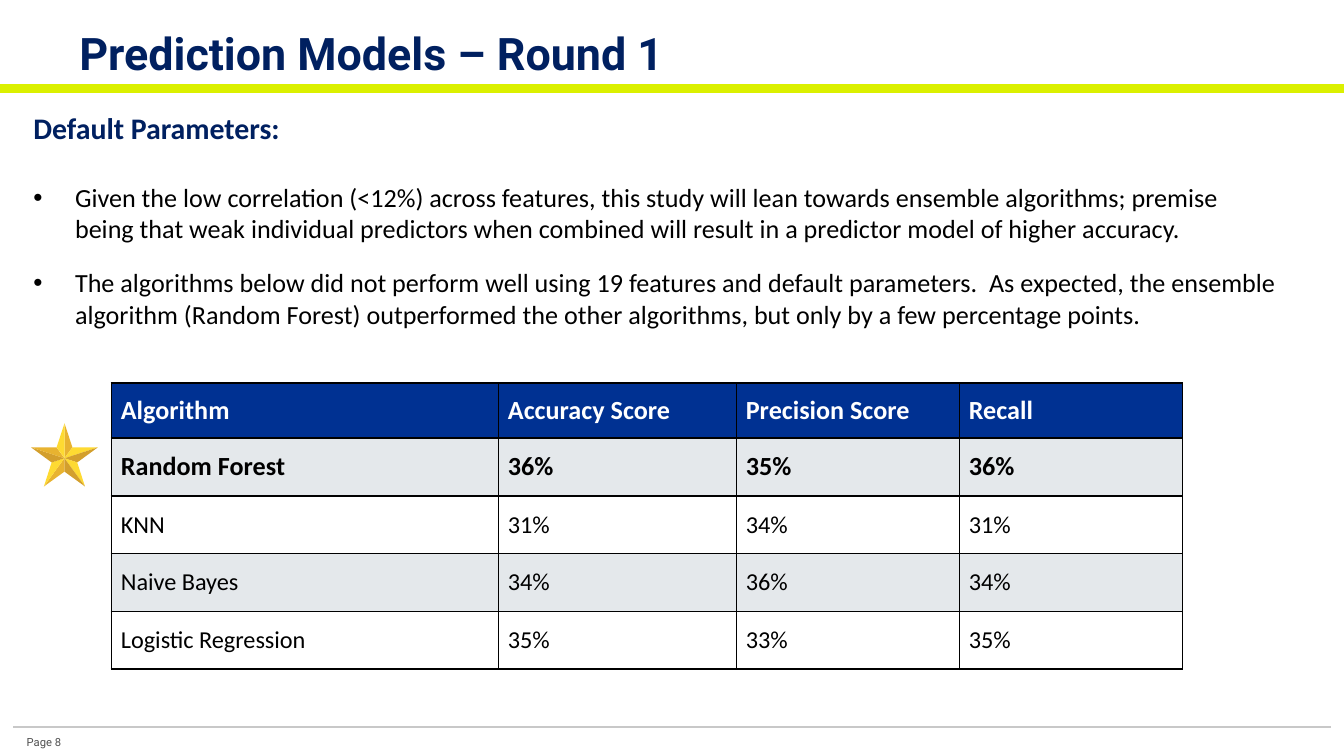
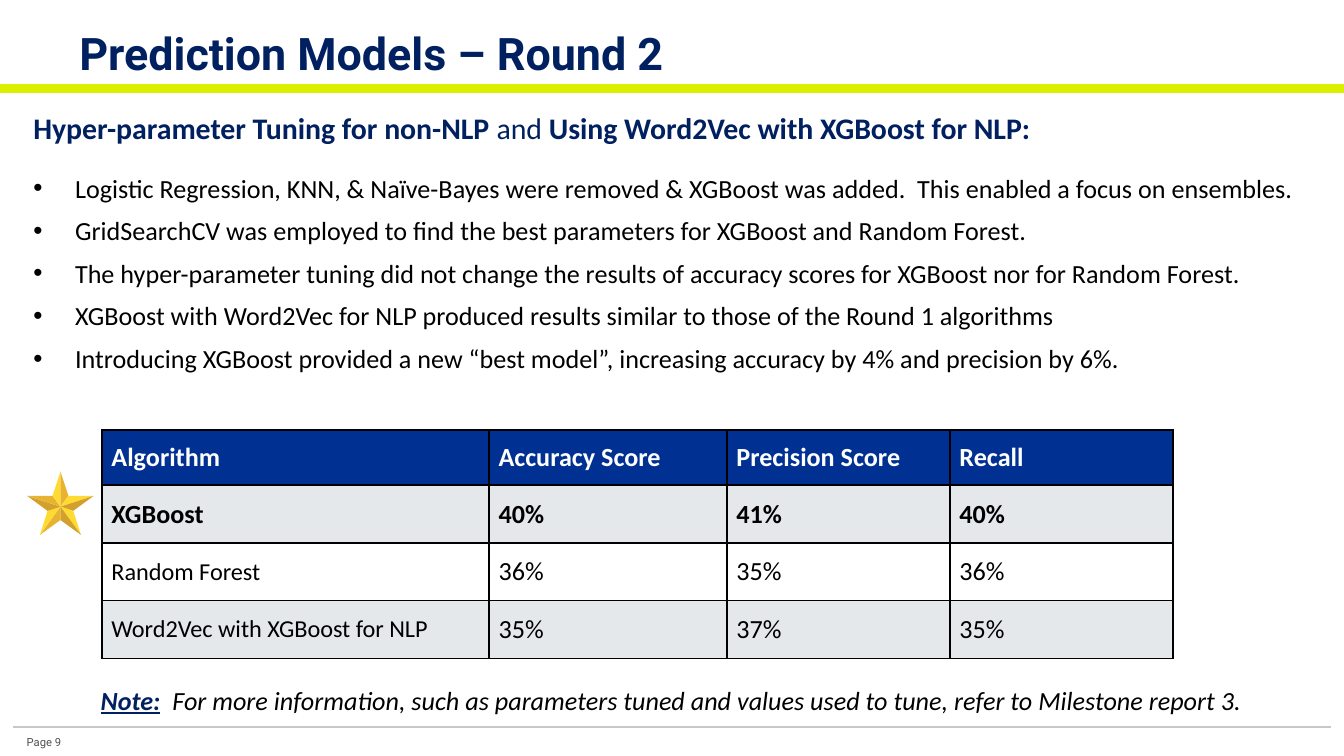
import math

from lxml import etree
from pptx import Presentation
from pptx.dml.color import RGBColor
from pptx.enum.shapes import MSO_CONNECTOR
from pptx.enum.text import MSO_ANCHOR, MSO_AUTO_SIZE, PP_ALIGN
from pptx.oxml import parse_xml
from pptx.oxml.ns import qn
from pptx.util import Pt

PX = 9144
STRAIGHT = MSO_CONNECTOR.STRAIGHT
TOP, MIDDLE = MSO_ANCHOR.TOP, MSO_ANCHOR.MIDDLE
LEFT = PP_ALIGN.LEFT
NO_AUTOFIT = MSO_AUTO_SIZE.NONE
DRAWING_NS = "http://schemas.openxmlformats.org/drawingml/2006/main"

NAVY, BLACK, WHITE, GREY = "002060", "000000", "FFFFFF", "505050"
RULE_GREY, LIME = "C8C8C8", "DBF000"
HEADER_BLUE, BAND_SLATE = "003192", "78909C"
GOLD, YELLOW, OCHRE = "E8B330", "FEDA32", "D39F2D"
WEDGE_COLORS = [GOLD, YELLOW, OCHRE, YELLOW, OCHRE,
                GOLD, YELLOW, OCHRE, GOLD, YELLOW]
RULES = [(10, 990, 541, RULE_GREY, 0.75),
         (0, 1000, 66, RULE_GREY, 0.75),
         (0, 1000, 66, LIME, 4.5)]
COLUMNS = [("Algorithm", 288), ("Accuracy Score", 177),
           ("Precision Score", 166), ("Recall", 166)]
HEADER_HEIGHT, ROW_HEIGHT = 41, 43

rounds = [
    {
        "title": "Prediction Models – Round 1",
        "title_width": 471,
        "page": "Page 8",
        "heading": [("Default Parameters:", True)],
        "heading_width": 208,
        "bullet_area": (15, 130, 949, 121),
        "space_before": 6,
        "bullets": [
            "Given the low correlation (<12%) across features, this study will lean towards ensemble algorithms; premise being that weak individual predictors when combined will result in a predictor model of higher accuracy.",
            "The algorithms below did not perform well using 19 features and default parameters.  As expected, the ensemble algorithm (Random Forest) outperformed the other algorithms, but only by a few percentage points.",
        ],
        "table_at": (83, 285),
        "score_size": 13,
        "scores": [("Random Forest", "36%", "35%", "36%"),
                   ("KNN", "31%", "34%", "31%"),
                   ("Naive Bayes", "34%", "36%", "34%"),
                   ("Logistic Regression", "35%", "33%", "35%")],
        "star_center": (48, 341),
        "note": [],
    },
    {
        "title": "Prediction Models – Round 2",
        "title_width": 656,
        "page": "Page 9",
        "heading": [("Hyper-parameter Tuning for non-NLP ", True), ("and", False),
                    (" Using Word2Vec with XGBoost for NLP:", True)],
        "heading_width": 774,
        "bullet_area": (15, 123, 968, 162),
        "space_before": 0,
        "bullets": [
            "Logistic Regression, KNN, & Naïve-Bayes were removed & XGBoost was added.  This enabled a focus on ensembles.",
            "GridSearchCV was employed to find the best parameters for XGBoost and Random Forest.",
            "The hyper-parameter tuning did not change the results of accuracy scores for XGBoost nor for Random Forest.",
            "XGBoost with Word2Vec for NLP produced results similar to those of the Round 1 algorithms",
            "Introducing XGBoost provided a new “best model”, increasing accuracy by 4% and precision by 6%.",
        ],
        "table_at": (76, 320),
        "score_size": 14,
        "scores": [("XGBoost", "40%", "41%", "40%"),
                   ("Random Forest", "36%", "35%", "36%"),
                   ("Word2Vec with XGBoost for NLP", "35%", "37%", "35%")],
        "star_center": (45, 377),
        "note": [("Note:", NAVY, True),
                 ("  For more information, such as parameters tuned and values used to tune, refer to Milestone report 3.", BLACK, False)],
    },
]


def rgb(color):
    return RGBColor.from_string(color)


def write(paragraph, pieces, size, face="Calibri"):
    for text, color, bold, italic, underline in pieces:
        run = paragraph.add_run()
        run.text = text
        run.font.name = face
        run.font.size = Pt(size)
        run.font.color.rgb = rgb(color)
        run.font.bold = bold
        run.font.italic = italic
        run.font.underline = underline


prs = Presentation()
prs.slide_width = 1000 * PX
prs.slide_height = prs.slide_width * 9 // 16
title_only = prs.slide_layouts[5]

for content in rounds:
    slide = prs.slides.add_slide(title_only)
    shapes = slide.shapes

    title = shapes.title
    title.left, title.top = 49 * PX, 9 * PX
    title.width, title.height = content["title_width"] * PX, 45 * PX
    page = shapes.add_textbox(10 * PX, 537 * PX, 52 * PX, 22 * PX)
    for box, text, size, color, bold in [
            (title, content["title"], 24, NAVY, True),
            (page, content["page"], 6, GREY, False)]:
        frame = box.text_frame
        frame.word_wrap = True
        frame.auto_size = NO_AUTOFIT
        frame.vertical_anchor = TOP
        frame.margin_left = frame.margin_right = 10 * PX
        frame.margin_top = frame.margin_bottom = 10 * PX
        frame.paragraphs[0].alignment = LEFT
        write(frame.paragraphs[0], [(text, color, bold, False, False)], size, "Roboto")

    for start, end, y, color, weight in RULES:
        rule = shapes.add_connector(STRAIGHT, start * PX, y * PX, end * PX, y * PX)
        rule.line.color.rgb = rgb(color)
        rule.line.width = Pt(weight)
        etree.SubElement(rule._element.spPr, qn("a:effectLst"))

    heading = shapes.add_textbox(15 * PX, 77 * PX, content["heading_width"] * PX, 37 * PX)
    heading.text_frame.word_wrap = False
    write(heading.text_frame.paragraphs[0],
          [(text, NAVY, bold, False, False) for text, bold in content["heading"]], 16)

    findings = shapes.add_textbox(*[n * PX for n in content["bullet_area"]]).text_frame
    findings.word_wrap = True
    for i, text in enumerate(content["bullets"]):
        finding = findings.add_paragraph() if i else findings.paragraphs[0]
        finding.space_before = Pt(content["space_before"])
        finding.space_after = Pt(6)
        write(finding, [(text, BLACK, False, False, False)], 14)
        properties = finding._p.get_or_add_pPr()
        properties.set("marL", str(31 * PX))
        properties.set("indent", str(-31 * PX))
        etree.SubElement(properties, qn("a:buFont")).set("typeface", "Arial")
        etree.SubElement(properties, qn("a:buChar")).set("char", "•")

    if content["note"]:
        note = shapes.add_textbox(65 * PX, 504 * PX, 918 * PX, 34 * PX).text_frame
        note.word_wrap = True
        write(note.paragraphs[0],
              [(text, color, strong, True, strong) for text, color, strong in content["note"]], 14)

    rows = [[name for name, width in COLUMNS]] + content["scores"]
    table_left, table_top = content["table_at"]
    table_width = sum(width for name, width in COLUMNS)
    table_height = HEADER_HEIGHT + ROW_HEIGHT * len(content["scores"])
    table = shapes.add_table(len(rows), len(COLUMNS), table_left * PX, table_top * PX,
                             table_width * PX, table_height * PX).table
    table.first_row = table.horz_banding = False
    for column, (name, width) in zip(table.columns, COLUMNS):
        column.width = width * PX
    for r, row in enumerate(rows):
        table.rows[r].height = (ROW_HEIGHT if r else HEADER_HEIGHT) * PX
        for c, text in enumerate(row):
            cell = table.cell(r, c)
            cell.vertical_anchor = MIDDLE
            cell.margin_left = cell.margin_right = 7 * PX
            cell.margin_top = cell.margin_bottom = 0
            size = 14 if r < 2 else content["score_size"] if c else 13
            write(cell.text_frame.paragraphs[0],
                  [(text, BLACK if r else WHITE, r < 2, False, False)], size)
            cell_properties = cell._tc.get_or_add_tcPr()
            for side in ("lnL", "lnR", "lnT", "lnB"):
                cell_properties.append(parse_xml(
                    f'<a:{side} xmlns:a="{DRAWING_NS}" w="12700"><a:solidFill>'
                    f'<a:srgbClr val="{BLACK}"/></a:solidFill></a:{side}>'))
            if r == 0:
                cell.fill.solid()
                cell.fill.fore_color.rgb = rgb(HEADER_BLUE)
            elif r % 2:
                cell.fill.solid()
                cell.fill.fore_color.rgb = rgb(BAND_SLATE)
                slate = cell_properties.find(qn("a:solidFill")).find(qn("a:srgbClr"))
                etree.SubElement(slate, qn("a:alpha")).set("val", "20000")
            else:
                cell.fill.background()

    center_x, center_y = [n * PX for n in content["star_center"]]
    rim = []
    for k in range(10):
        radius = (10 if k % 2 else 26) * PX
        angle = k * math.pi / 5
        rim.append((round(center_x + radius * math.sin(angle)),
                    round(center_y - radius * math.cos(angle))))
    star = shapes.add_group_shape()
    for k, color in enumerate(WEDGE_COLORS):
        builder = star.shapes.build_freeform(center_x, center_y)
        builder.add_line_segments([rim[k], rim[(k + 1) % 10]], close=True)
        wedge = builder.convert_to_shape()
        wedge.shadow.inherit = False
        wedge.fill.solid()
        wedge.fill.fore_color.rgb = rgb(color)
        wedge.line.fill.background()

prs.save("out.pptx")
